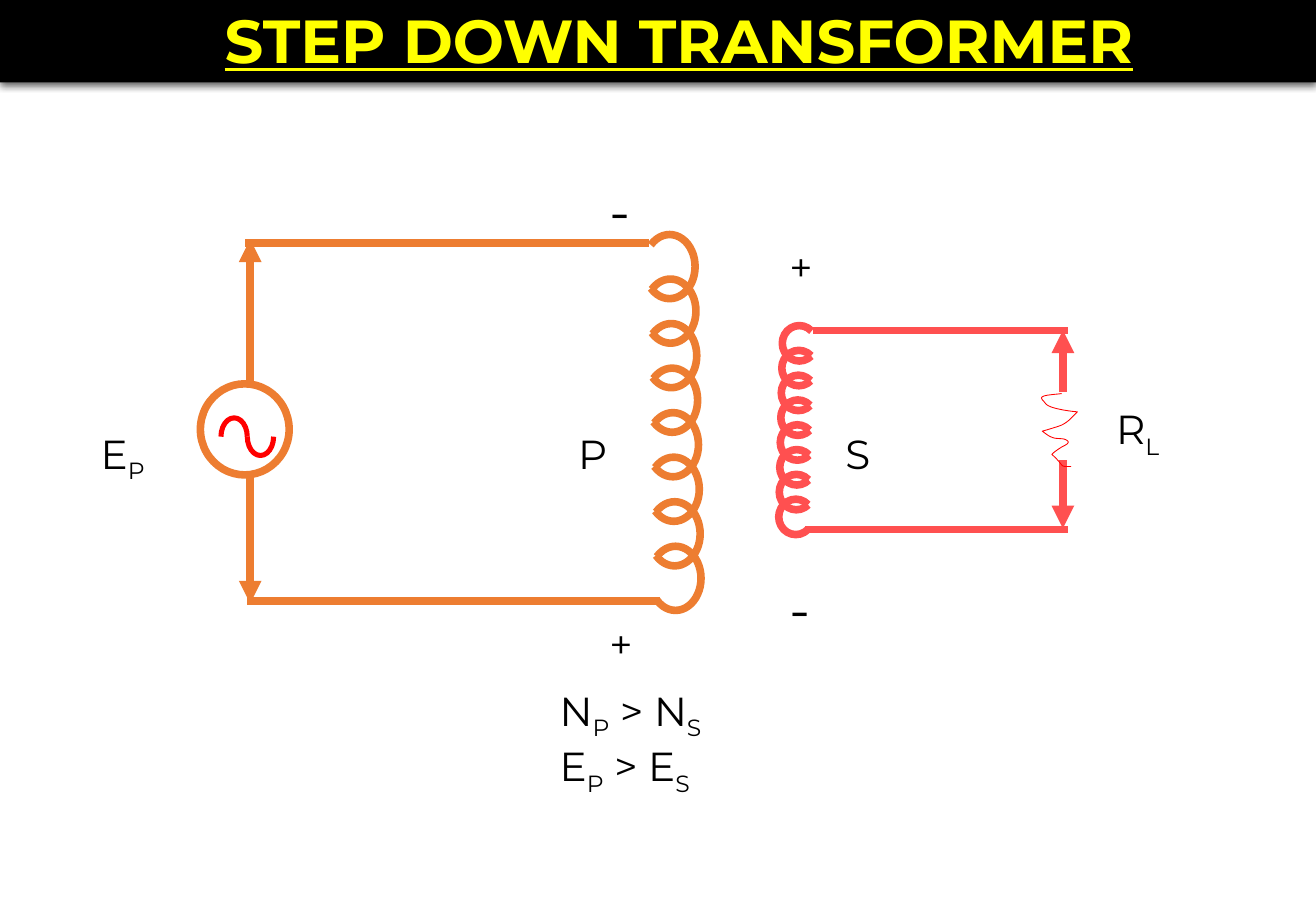
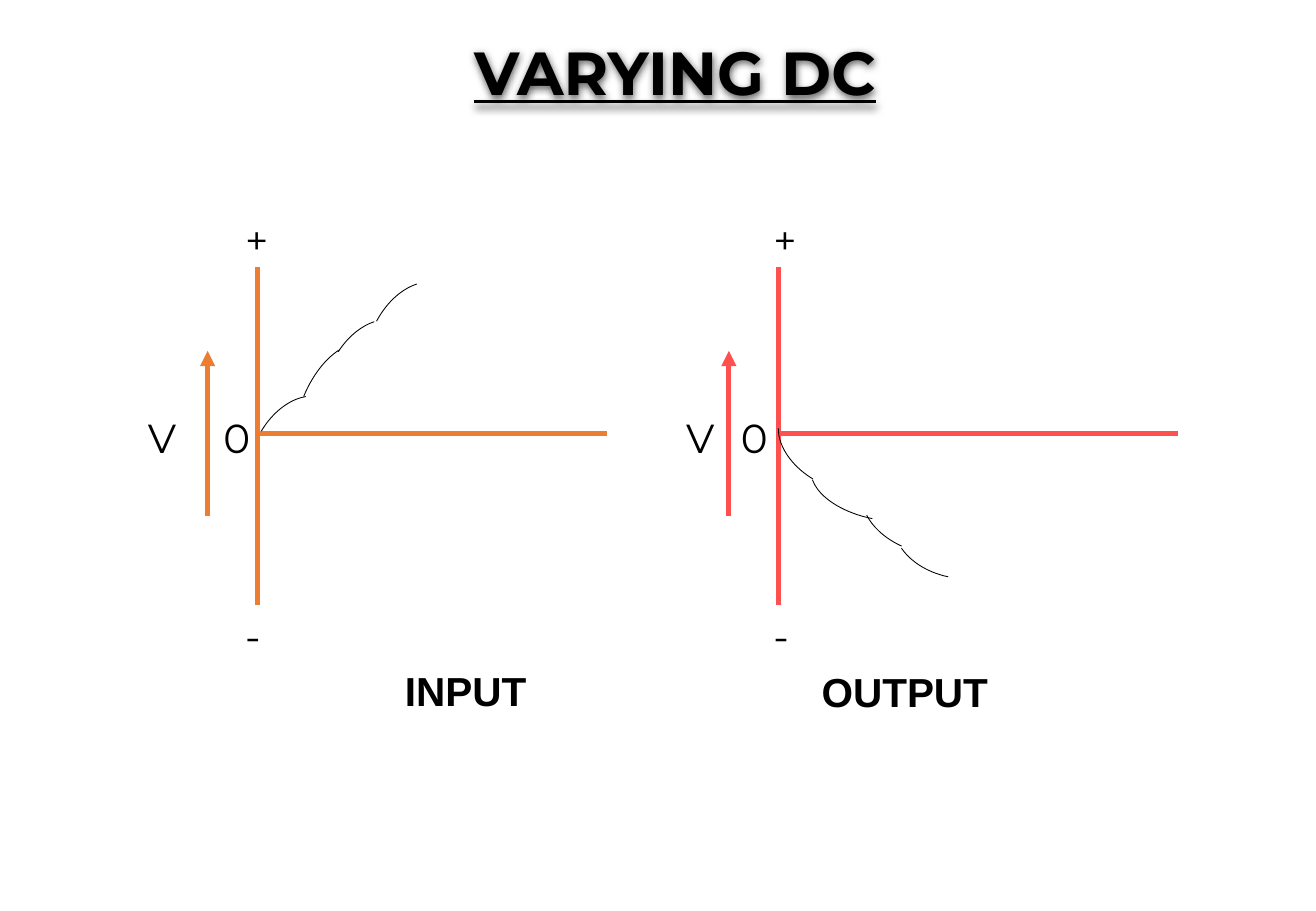
from dataclasses import dataclass
from lxml.etree import SubElement
from pptx import Presentation
from pptx.dml.color import RGBColor as Rgb
from pptx.enum.shapes import MSO_CONNECTOR as Connector, MSO_SHAPE as Preset
from pptx.enum.text import MSO_ANCHOR as Anchor, MSO_AUTO_SIZE as AutoSize, PP_ALIGN as Align
from pptx.oxml.ns import qn
from pptx.util import Pt


@dataclass(frozen=True)
class Theme:
    black: Rgb = Rgb(0, 0, 0)
    white: Rgb = Rgb(255, 255, 255)
    yellow: Rgb = Rgb(255, 255, 0)
    red: Rgb = Rgb(255, 0, 0)
    primary: Rgb = Rgb.from_string("ED7D31")
    secondary: Rgb = Rgb.from_string("FF5050")
    font: str = "Montserrat"
    caption_font: str = "Arial"
    title_size: int = 36
    minus_size: int = 32
    label_size: int = 24
    thick: float = 4.5
    medium: float = 3
    thin: float = 0.5


theme = Theme()


def label(slide, left, top, width, lines, size=theme.label_size, caption=False):
    """Each line is a list of runs: normal, subscript, normal, subscript..."""
    box = slide.shapes.add_textbox(Pt(left), Pt(top), Pt(width), Pt(36 * len(lines)))
    frame = box.text_frame
    frame.word_wrap = True
    for number, runs in enumerate(lines):
        para = frame.add_paragraph() if number else frame.paragraphs[0]
        para.alignment = Align.CENTER if caption else Align.LEFT
        for position, text in enumerate(runs):
            span = para.add_run()
            span.text = text
            span.font.size = Pt(size)
            span.font.name = theme.caption_font if caption else theme.font
            span.font.bold = caption
            span.font.color.rgb = theme.black
            if position % 2:
                span.font.size = Pt(size)
                span._r.get_or_add_rPr().set("baseline", "-25000")


def wire(slide, x1, y1, x2, y2, colour, weight, arrows=()):
    line = slide.shapes.add_connector(Connector.STRAIGHT, Pt(x1), Pt(y1), Pt(x2), Pt(y2))
    line.line.color.rgb = colour
    line.line.width = Pt(weight)
    for end in arrows:
        SubElement(line.line._get_or_add_ln(), qn(f"a:{end}End"), type="triangle")
    SubElement(line._element.spPr, qn("a:effectLst"))


deck = Presentation()
deck.slide_width, deck.slide_height = Pt(780), Pt(540)

# Slides and their titles
pages = []
for text, left, top, width, colour, band in (
    ("STEP DOWN TRANSFORMER", 0, -2.2, 780, theme.yellow, theme.black),
    ("VARYING DC", 20.2, 16.6, 735, theme.black, None),
):
    page = deck.slides.add_slide(deck.slide_layouts[5])
    pages.append(page)
    title = page.shapes.title
    title.left, title.top, title.width, title.height = Pt(left), Pt(top), Pt(width), Pt(51)
    if band is None:
        title.fill.background()
    else:
        title.fill.solid()
        title.fill.fore_color.rgb = band
    effects = SubElement(title._element.spPr, qn("a:effectLst"))
    shadow = SubElement(effects, qn("a:outerShdw"), blurRad=str(Pt(4.5)), dist=str(Pt(1.5)),
                        dir="5400000", algn="t", rotWithShape="0")
    shade = SubElement(shadow, qn("a:srgbClr"), val=str(theme.black))
    SubElement(shade, qn("a:alpha"), val="63000")
    frame = title.text_frame
    frame.auto_size = AutoSize.NONE
    frame.word_wrap = True
    frame.vertical_anchor = Anchor.MIDDLE
    frame.margin_left, frame.margin_right = Pt(32), Pt(7.2)
    frame.margin_top = frame.margin_bottom = Pt(3.6)
    para = frame.paragraphs[0]
    para.alignment = Align.CENTER
    span = para.add_run()
    span.text = text
    span.font.name = theme.font
    span.font.size = Pt(theme.title_size)
    span.font.bold = span.font.underline = True
    span.font.color.rgb = colour
circuit, graphs = pages

# Circuit wires
both = ("head", "tail")
for x1, y1, x2, y2, colour, arrows in (
    (391, 356.4, 146.2, 356.4, theme.primary, ()),
    (384.5, 144, 145.4, 144, theme.primary, ()),
    (148.3, 141.8, 148.3, 357.8, theme.primary, both),
    (477.4, 313.9, 632.9, 313.9, theme.secondary, ()),
    (481.7, 195.8, 632.9, 195.8, theme.secondary, ()),
    (630, 195.8, 630, 313.2, theme.secondary, both),
):
    wire(circuit, x1, y1, x2, y2, colour, theme.thick, arrows)

# Voltage source, and the gap in the wire behind the load
for preset, left, top, width, height, colour, weight in (
    (Preset.OVAL, 118.8, 227.5, 52.6, 54, theme.primary, theme.thick),
    (Preset.RECTANGLE, 626.4, 232.6, 11.5, 39.6, theme.white, 1),
):
    shape = circuit.shapes.add_shape(preset, Pt(left), Pt(top), Pt(width), Pt(height))
    shape.shadow.inherit = False
    shape.fill.solid()
    shape.fill.fore_color.rgb = theme.white
    shape.line.color.rgb = colour
    shape.line.width = Pt(weight)

# Load resistor: a chain of cubic curves, two control points and an end each
start = (629.3, 233.3)
curves = (
    ((625, 234), (614.9, 234), (617.8, 236.9)),
    ((619.2, 238.3), (619.9, 239.8), (621.4, 240.5)),
    ((625, 242.6), (636.5, 244.1), (638.6, 244.1)),
    ((635, 247.7), (633.6, 249.8), (629.3, 252)),
    ((625.7, 253.4), (617.8, 255.6), (617.8, 255.6)),
    ((619.9, 257), (621.4, 258.5), (623.5, 259.2)),
    ((626.4, 260.6), (630.7, 259.2), (632.9, 261.4)),
    ((634.3, 262.8), (630.7, 264.2), (629.3, 265)),
    ((627.1, 266.4), (625, 267.8), (623.5, 269.3)),
    ((632.2, 277.2), (627.1, 276.5), (635, 276.5)),
)
steps = 8
points = []
origin = start
for first, second, end in curves:
    for step in range(1, steps + 1):
        t = step / steps
        weights = ((1 - t) ** 3, 3 * t * (1 - t) ** 2, 3 * t * t * (1 - t), t ** 3)
        corners = (origin, first, second, end)
        points.append(tuple(Pt(sum(w * corner[axis] for w, corner in zip(weights, corners)))
                            for axis in (0, 1)))
    origin = end
builder = circuit.shapes.build_freeform(Pt(start[0]), Pt(start[1]))
builder.add_line_segments(points, close=False)
resistor = builder.convert_to_shape()
resistor.shadow.inherit = False
resistor.fill.background()
resistor.line.color.rgb = theme.red
resistor.line.width = Pt(theme.thin)

# Circuit labels
for left, top, width, lines, size in (
    (324.7, 403.2, 119, [["N", "P", " > N", "S"], ["E", "P", " > E", "S"]], theme.label_size),
    (493.9, 250.6, 35, [["S"]], theme.label_size),
    (52.6, 250.6, 73, [["E", "P"]], theme.label_size),
    (335.5, 250.6, 35, [["P"]], theme.label_size),
    (654.5, 236.2, 50, [["R", "L"]], theme.label_size),
    (354.2, 363.6, 30, [["+"]], theme.label_size),
    (354.2, 101.5, 30, [["-"]], theme.minus_size),
    (460.8, 139.7, 30, [["+"]], theme.label_size),
    (460.8, 337.7, 30, [["-"]], theme.minus_size),
):
    label(circuit, left, top, width, lines, size)

# Graph axes, arrows and labels
for colour, axis, axis_end, arrow, volt_left, zero_left, sign_left, caption in (
    (theme.primary, 152.6, 360, 123.1, 80.6, 125.3, 138.2, ("INPUT", 209.5, 391, 133)),
    (theme.secondary, 461.5, 698.4, 432, 399.6, 432, 451.4, ("OUTPUT", 364.3, 391.7, 344)),
):
    wire(graphs, axis, 257, axis_end, 257, colour, theme.medium)
    wire(graphs, axis, 158.4, axis, 358.6, colour, theme.medium)
    wire(graphs, arrow, 208, arrow, 306, colour, theme.medium, ("head",))
    for text, left, top in (("V", volt_left, 241.2), ("0", zero_left, 241.2),
                            ("+", sign_left, 123.8), ("-", sign_left, 358.6)):
        label(graphs, left, top, 36, [[text]])
    text, left, top, width = caption
    label(graphs, left, top, width, [[text]], caption=True)

# Arcs: slide, left, top, width, height, rotation, start and end angle, colour, weight
arcs = []
for turn in range(8):
    arcs.append((circuit, 381.8 + 0.5 * turn, 139 + 26.4 * turn, 30.2, 38,
                 0, 229, 131, theme.primary, theme.thick))
    arcs.append((circuit, 463.7 - 0.3 * turn, 193 + 14.7 * turn, 20.2, 21,
                 0, 47, 315, theme.secondary, theme.thick))
for left, begin, end in ((131, 180, 0), (146.6, 0, 180)):
    arcs.append((circuit, left, 247.7, 15.6, 22.3, 0, begin, end, theme.red, theme.medium))
small, large = (70.6, 46.8), (85.7, 47.5)
for left, top, size, rotation, begin, end in (
    (139.7, 244.1, small, 300.7, 270, 340.34),
    (159.1, 220.3, large, 292.3, 270, 335.88),
    (184.3, 198.7, small, 300.7, 274.92, 333.39),
    (209.5, 176.4, small, 300.7, 262.78, 333.39),
    (458.6, 240.5, small, 211.1, 270, 345.91),
    (480.2, 260.6, large, 189.8, 274.76, 350.23),
    (509.8, 279.4, small, 202, 274.92, 333.39),
    (529.9, 295.2, small, 195, 262.78, 333.39),
):
    arcs.append((graphs, left, top, *size, rotation, begin, end, theme.black, theme.thin))

for slide, left, top, width, height, rotation, begin, end, colour, weight in arcs:
    arc = slide.shapes.add_shape(Preset.ARC, Pt(left), Pt(top), Pt(width), Pt(height))
    arc.rotation = rotation
    # An angle is stored in 60000ths of a degree, an adjustment in 100000ths
    arc.adjustments[0], arc.adjustments[1] = begin * 0.6, end * 0.6
    arc.shadow.inherit = False
    arc.fill.background()
    arc.line.color.rgb = colour
    arc.line.width = Pt(weight)

deck.save("out.pptx")
